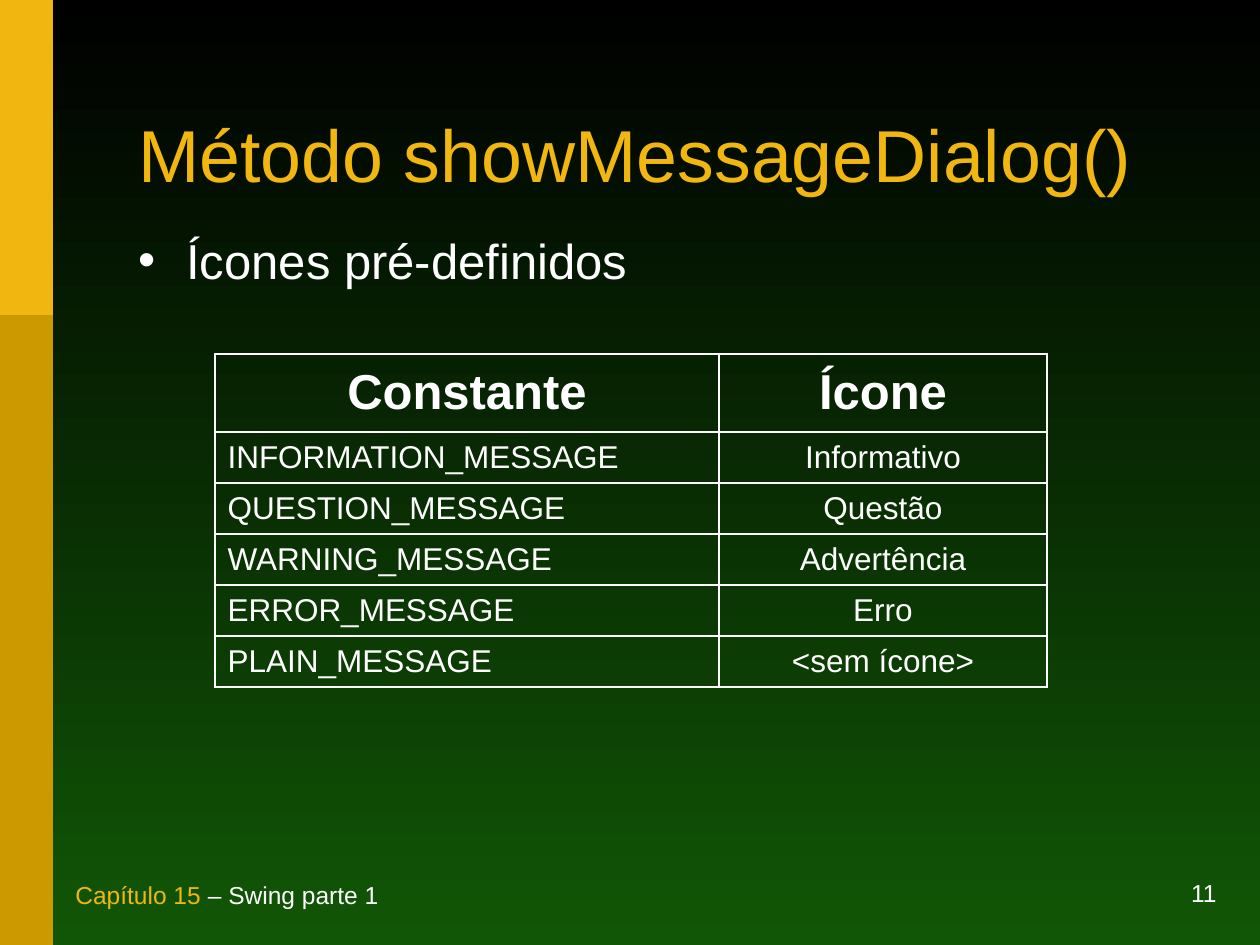
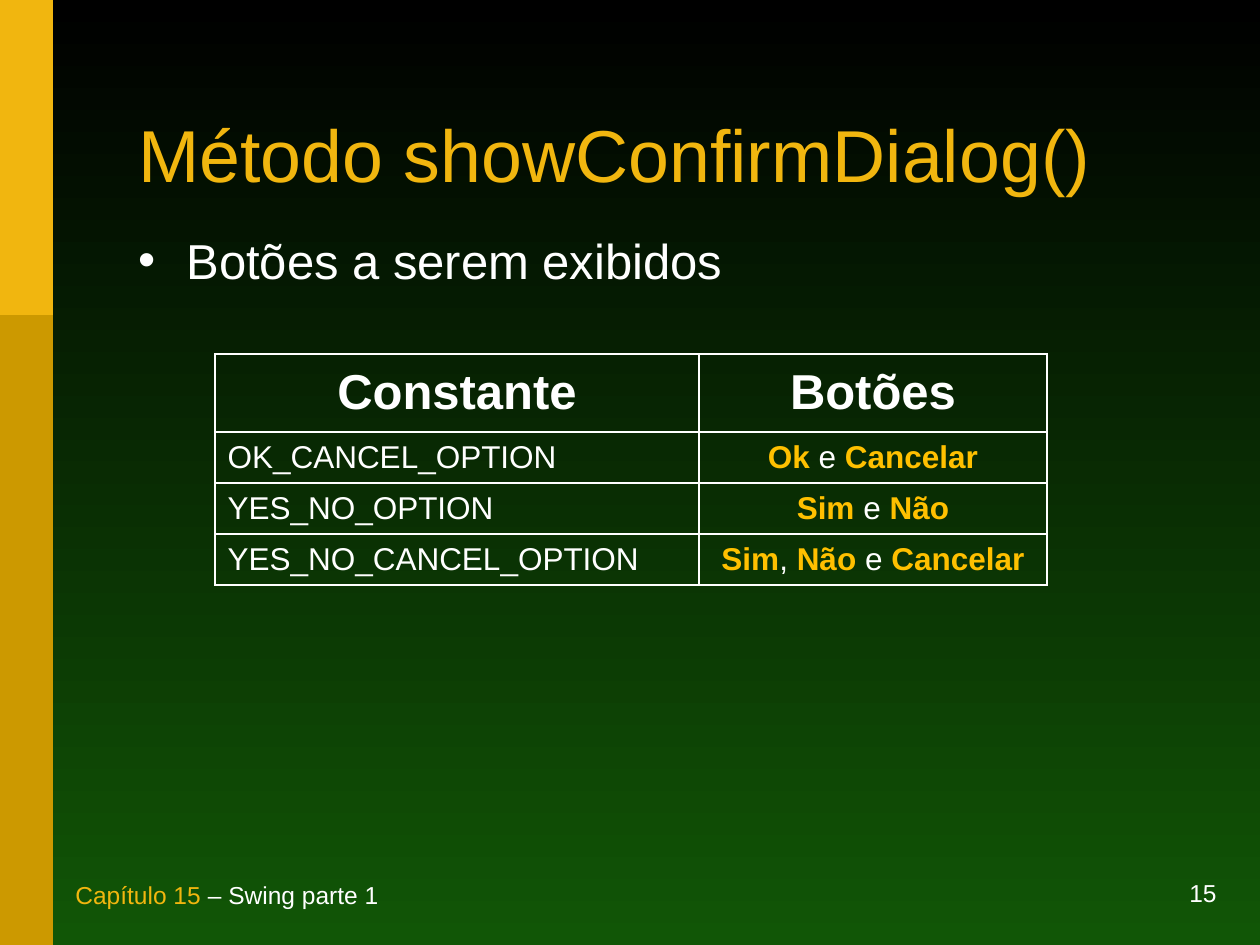
from lxml import etree
from pptx import Presentation, util as u
from pptx.dml.color import RGBColor
from pptx.enum import shapes, text
from pptx.oxml import ns

PX = 914400 / 126
HUES = {"black": "000000", "green": "115606", "gold": "F1B60F",
        "ochre": "CC9900", "amber": "FFC000", "white": "FFFFFF"}
LEFT, MID, RIGHT = text.PP_ALIGN.LEFT, text.PP_ALIGN.CENTER, text.PP_ALIGN.RIGHT
BANDS = [("ochre", 945), ("gold", 315)]
BOXES = {
    "page": dict(at=(914, 882, 315, 32), anchor="BOTTOM", size=14, hue="white", align=RIGHT),
    "foot": dict(at=(63, 882, 843, 34), anchor="BOTTOM", size=14, hue="white", align=LEFT),
    "title": dict(at=(126, 79, 1037, 163), anchor="MIDDLE", size=42, hue="gold", align=LEFT),
    "point": dict(at=(126, 224, 1029, 100), anchor="TOP", size=28, hue="white", align=LEFT),
}
SLIDES = [
    dict(page="11", title="Método showMessageDialog()", point="Ícones pré-definidos",
         cols=(504, 328), rows=[
             ("Constante", "Ícone"),
             ("INFORMATION_MESSAGE", "Informativo"),
             ("QUESTION_MESSAGE", "Questão"),
             ("WARNING_MESSAGE", "Advertência"),
             ("ERROR_MESSAGE", "Erro"),
             ("PLAIN_MESSAGE", "<sem ícone>")]),
    dict(page="15", title="Método showConfirmDialog()", point="Botões a serem exibidos",
         cols=(484, 348), rows=[
             ("Constante", "Botões"),
             ("OK_CANCEL_OPTION", "*Ok* e *Cancelar*"),
             ("YES_NO_OPTION", "*Sim* e *Não*"),
             ("YES_NO_CANCEL_OPTION", "*Sim*, *Não* e *Cancelar*")]),
]


def emu(*vals):
    return [round(v * PX) for v in vals]


def write(par, words, size, hue, align, bold=False, mark=("amber", True)):
    par.alignment = align
    for i, part in enumerate(words.split("*")):
        if not part:
            continue
        run = par.add_run()
        run.text = part
        tint, heavy = mark if i % 2 else (hue, bold)
        for key, val in dict(name="Arial", size=u.Pt(size), bold=heavy).items():
            setattr(run.font, key, val)
        run.font.color.rgb = RGBColor.from_string(HUES[tint])


deck = Presentation()
deck.slide_width, deck.slide_height = emu(1260, 945)

for data in SLIDES:
    slide = deck.slides.add_slide(deck.slide_layouts[6])
    fill = slide.background.fill
    fill.gradient()
    fill.gradient_angle = 270
    for stop, hue in zip(fill.gradient_stops, ("black", "green")):
        stop.color.rgb = RGBColor.from_string(HUES[hue])

    for hue, high in BANDS:
        band = slide.shapes.add_shape(shapes.MSO_SHAPE.RECTANGLE, *emu(0, 0, 53, high))
        band.shadow.inherit = False
        band.fill.solid()
        band.fill.fore_color.rgb = RGBColor.from_string(HUES[hue])
        band.line.fill.background()

    words = dict(data, foot="*Capítulo 15* – Swing parte 1")
    for name, form in BOXES.items():
        box = slide.shapes.add_textbox(*emu(*form["at"]))
        frame = box.text_frame
        frame.word_wrap = True
        frame.vertical_anchor = text.MSO_ANCHOR[form["anchor"]]
        par = frame.paragraphs[0]
        write(par, words[name], form["size"], form["hue"], form["align"], mark=("gold", False))
        if name == "title":
            par.line_spacing = 0.85
        if name == "point":
            par.space_before = u.Pt(22.5)
            props = par._p.get_or_add_pPr()
            dent = emu(48)[0]
            props.set("marL", str(dent))
            props.set("indent", str(-dent))
            tint = etree.SubElement(props, ns.qn("a:buClr"))
            etree.SubElement(tint, ns.qn("a:srgbClr"), val=HUES["white"])
            etree.SubElement(props, ns.qn("a:buFont"), typeface="Arial")
            etree.SubElement(props, ns.qn("a:buChar"), char="•")

    rows = data["rows"]
    highs = [78] + [51] * (len(rows) - 1)
    grid = slide.shapes.add_table(len(rows), 2, *emu(215, 354, sum(data["cols"]), sum(highs))).table
    grid.first_row = grid.horz_banding = False
    for col, wide in zip(grid.columns, emu(*data["cols"])):
        col.width = wide
    for r, (row, high) in enumerate(zip(grid.rows, emu(*highs))):
        row.height = high
        for c, cell in enumerate(row.cells):
            cell.vertical_anchor = text.MSO_ANCHOR.MIDDLE
            head = r == 0
            write(cell.text_frame.paragraphs[0], rows[r][c], 28 if head else 18,
                  "white", MID if head or c else LEFT, bold=head)
            props = cell._tc.get_or_add_tcPr()
            for side in "LRTB":
                edge = etree.SubElement(props, ns.qn("a:ln" + side), w=str(u.Pt(1.08)))
                ink = etree.SubElement(edge, ns.qn("a:solidFill"))
                etree.SubElement(ink, ns.qn("a:srgbClr"), val=HUES["white"])
            cell.fill.background()

deck.save("out.pptx")
